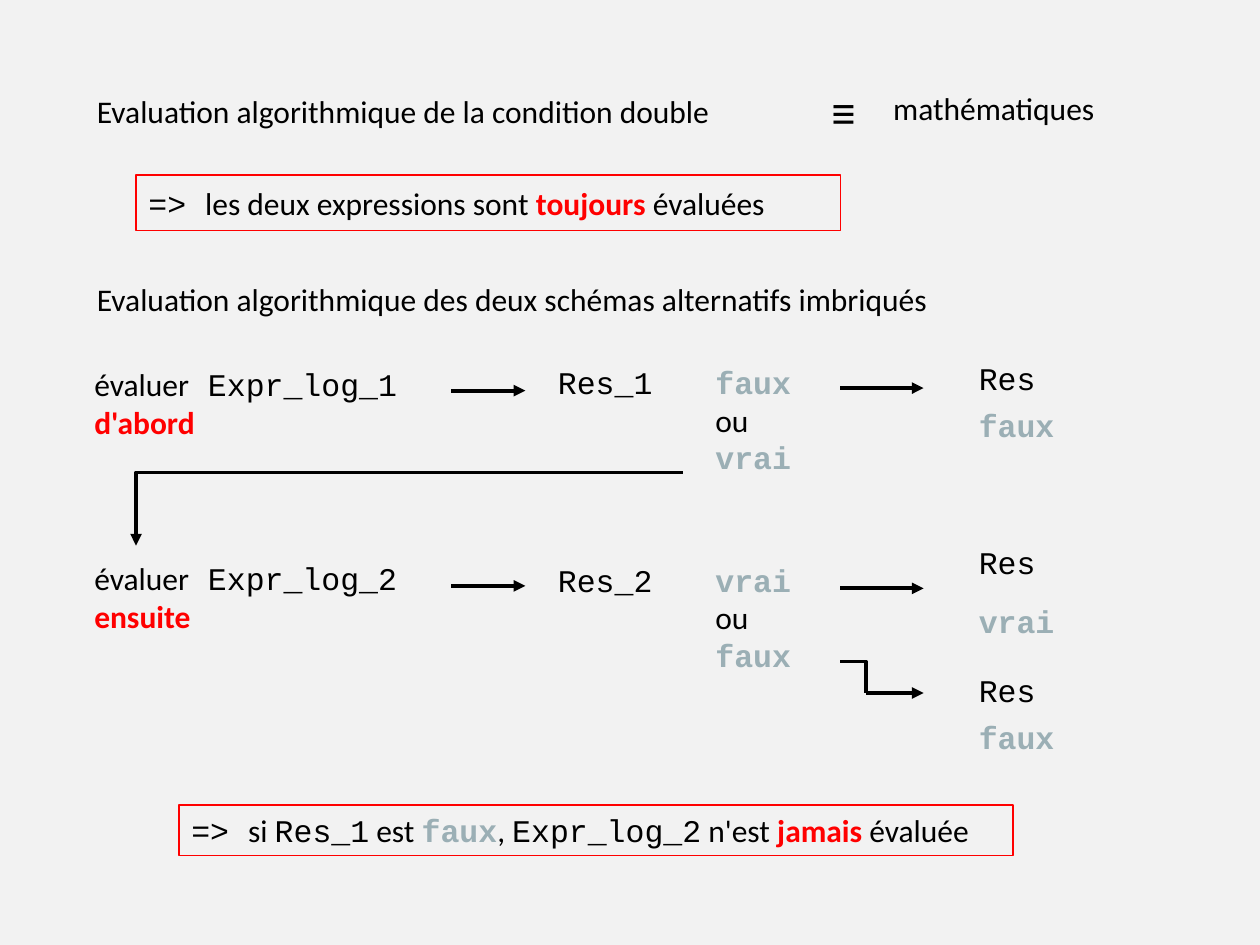
from lxml import etree
from pptx import Presentation
from pptx import util as u
from pptx.dml.color import RGBColor
from pptx.enum import shapes, text
from pptx.oxml.ns import qn

BLACK, RED, GREY, BACKGROUND = "000000", "FF0000", "9BAFB5", "F2F2F2"

# Run formats
PLAIN = {"name": "Calibri", "size": u.Pt(18), "bold": False, "color": BLACK}
CODE = {**PLAIN, "name": "Courier New"}
VALUE = {**CODE, "bold": True, "color": GREY}
STRONG = {**PLAIN, "bold": True, "color": RED}
SYMBOL = {**PLAIN, "size": u.Pt(28)}

# Columns and text height, in points
EVALUATE_X, HEADING_X, RESULT_X, CASES_X, OUTCOME_X = 46.8, 48.24, 311.76, 401.76, 552.24
LINE_H = 30.96


def rgb(hex_color):
    return RGBColor.from_string(hex_color)


def points(*lengths):
    return [u.Pt(length) for length in lengths]


def write_lines(frame, lines):
    """Each line is a list of (wording, format) pairs."""
    for index, line in enumerate(lines):
        paragraph = frame.paragraphs[0] if index == 0 else frame.add_paragraph()
        paragraph.alignment = text.PP_ALIGN.LEFT
        for wording, style in line:
            run = paragraph.add_run()
            run.text = wording
            for attribute, value in style.items():
                if attribute == "color":
                    run.font.color.rgb = rgb(value)
                else:
                    setattr(run.font, attribute, value)


def add_label(slide, x, y, width, height, *lines):
    frame = slide.shapes.add_textbox(*points(x, y, width, height)).text_frame
    settings = {"word_wrap": False, "auto_size": text.MSO_AUTO_SIZE.SHAPE_TO_FIT_TEXT}
    for attribute, value in settings.items():
        setattr(frame, attribute, value)
    write_lines(frame, lines)


def add_conclusion(slide, x, y, width, height, line):
    box = slide.shapes.add_shape(shapes.MSO_SHAPE.RECTANGLE, *points(x, y, width, height))
    box.shadow.inherit = False
    box.fill.background()
    box.line.color.rgb = rgb(RED)
    box.line.width = u.Pt(0.75)
    settings = {"word_wrap": True, "vertical_anchor": text.MSO_ANCHOR.MIDDLE}
    for attribute, value in settings.items():
        setattr(box.text_frame, attribute, value)
    write_lines(box.text_frame, [line])


def style_stroke(stroke, arrow):
    stroke.line.color.rgb = rgb(BLACK)
    stroke.line.width = u.Pt(2.25)
    if arrow:
        outline = stroke.line._get_or_add_ln()
        etree.SubElement(outline, qn("a:tailEnd"), type="triangle")


def add_arrow(parent, x1, x2, y):
    arrow = parent.shapes.add_connector(
        shapes.MSO_CONNECTOR.STRAIGHT, *points(x1, y, x2, y))
    style_stroke(arrow, arrow=True)
    etree.SubElement(arrow._element.spPr, qn("a:effectLst"))


def add_elbow(parent, corners, arrow=False):
    start, *rest = [points(*corner) for corner in corners]
    builder = parent.shapes.build_freeform(*start)
    builder.add_line_segments(rest, close=False)
    elbow = builder.convert_to_shape()
    elbow.shadow.inherit = False
    elbow.fill.background()
    style_stroke(elbow, arrow)


def add_evaluation(slide, number, order, y, result_y, cases_y, arrow_y, outcome_arrow_y, cases):
    """One row: expression, arrow, result, possible values, arrow."""
    add_label(slide, EVALUATE_X, y, 205.2, 55.44,
              [("évaluer", PLAIN), (f" Expr_log_{number}", CODE)], [(order, STRONG)])
    add_arrow(slide, 257.76, 300.24, arrow_y)
    add_label(slide, RESULT_X, result_y, 74.16, LINE_H, [(f"Res_{number}", CODE)])
    first, second = cases
    add_label(slide, CASES_X, cases_y, 62.64, 79.2,
              [(first, VALUE)], [("ou", PLAIN)], [(second, VALUE)])
    add_arrow(slide, 480.24, 527.76, outcome_arrow_y)


def add_outcome(slide, y, value_y, value):
    add_label(slide, OUTCOME_X, y, 50.4, LINE_H, [("Res", CODE)])
    add_label(slide, OUTCOME_X, value_y, 62.64, LINE_H, [(value, VALUE)])


def main():
    deck = Presentation()
    deck.slide_width, deck.slide_height = points(720, 540)
    slide = deck.slides.add_slide(deck.slide_layouts[6])
    slide.background.fill.solid()
    slide.background.fill.fore_color.rgb = rgb(BACKGROUND)

    # Double condition
    add_label(slide, HEADING_X, 48.96, 406.08, LINE_H,
              [("Evaluation algorithmique de la condition double", PLAIN)])
    add_label(slide, 468, 43.2, 29.52, 41.04, [("≡", SYMBOL)])
    add_label(slide, 503.28, 47.52, 140.4, LINE_H, [("mathématiques", PLAIN)])
    add_conclusion(slide, 77.76, 100.08, 402.48, 31.68, [
        ("=> ", CODE), ("les deux expressions sont ", PLAIN),
        ("toujours", STRONG), (" évaluées", PLAIN)])

    # Nested alternatives
    add_label(slide, HEADING_X, 156.24, 535.68, LINE_H,
              [("Evaluation algorithmique des deux schémas alternatifs imbriqués", PLAIN)])
    add_evaluation(slide, 1, "d'abord", 205.2, 203.76, 203.76, 223.2, 221.76,
                   ("faux", "vrai"))
    add_evaluation(slide, 2, "ensuite", 316.08, 316.8, 316.8, 334.8, 336.24,
                   ("vrai", "faux"))

    # Final results
    for y, value_y, value in [(201.6, 228.24, "faux"),
                              (306.72, 340.56, "vrai"),
                              (380.16, 406.8, "faux")]:
        add_outcome(slide, y, value_y, value)

    # Passage from the first evaluation to the second
    add_elbow(slide, [(390.24, 270), (77.76, 270), (77.76, 311.76)], arrow=True)

    # Branch to the last result
    branch = slide.shapes.add_group_shape()
    add_arrow(branch, 494.64, 527.76, 396)
    add_elbow(branch, [(480.24, 378), (494.64, 378), (494.64, 396)])

    # Consequence
    add_conclusion(slide, 102.24, 460.08, 476.64, 28.8, [
        ("=> ", CODE), ("si ", PLAIN), ("Res_1", CODE), (" est ", PLAIN),
        ("faux", VALUE), (", ", PLAIN), ("Expr_log_2", CODE), (" n'est ", PLAIN),
        ("jamais", STRONG), (" évaluée", PLAIN)])

    deck.save("out.pptx")


if __name__ == "__main__":
    main()
